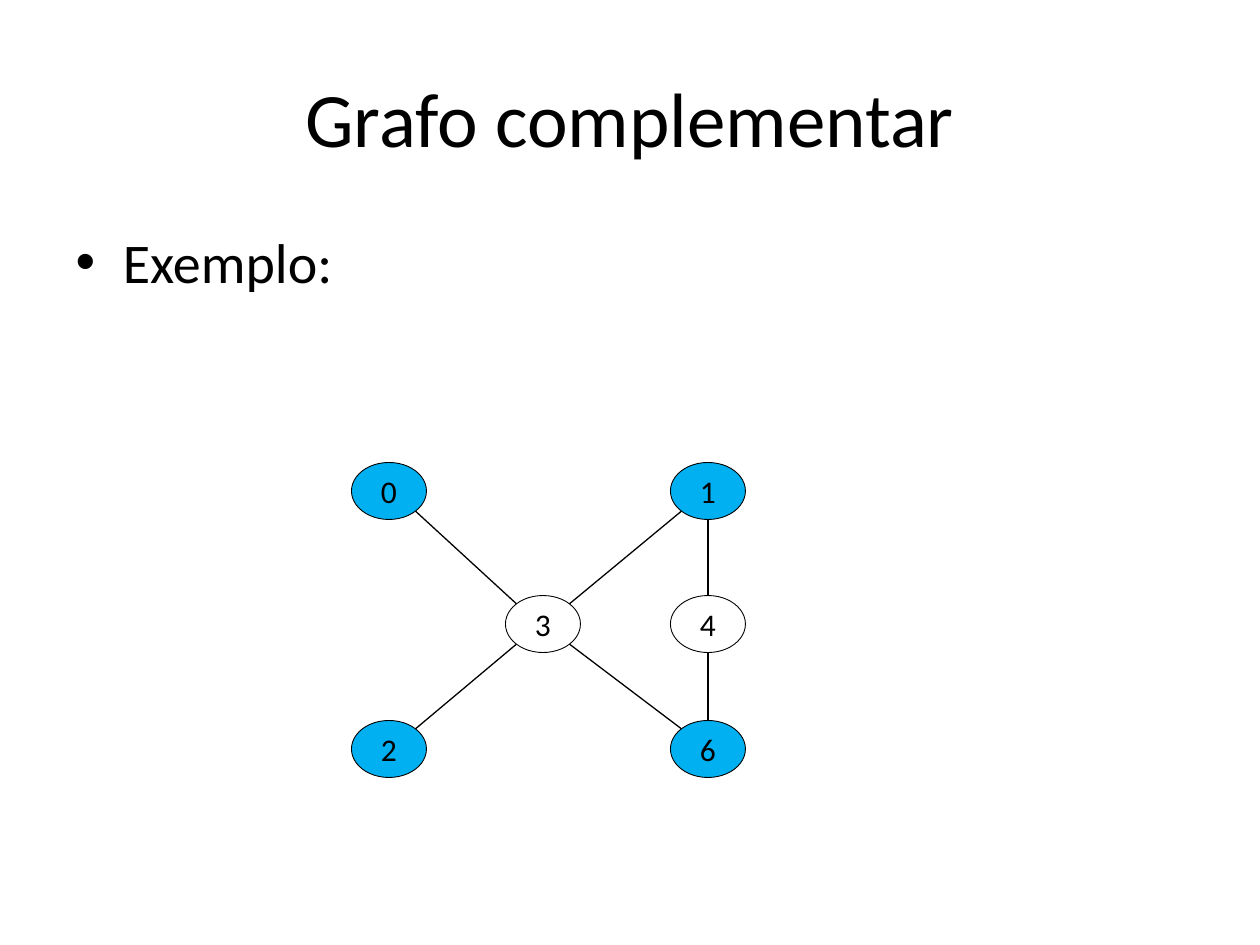
from dataclasses import dataclass
from math import sqrt

from lxml.etree import SubElement
from pptx import Presentation
from pptx.dml.color import RGBColor
from pptx.enum.shapes import MSO_CONNECTOR, MSO_SHAPE
from pptx.enum.text import MSO_ANCHOR, PP_ALIGN
from pptx.oxml.ns import qn
from pptx.slide import Slide
from pptx.util import Emu, Pt

PX_PER_INCH = 126
SLIDE_SIZE = (1260, 945)
NODE_SIZE = (75, 57)
FONT = "Calibri"
COLORS = {"ink": "000000", "highlight": "00B0F0", "plain": "FFFFFF"}


@dataclass(frozen=True)
class Node:
    label: str
    x: int  # centre
    y: int
    fill: str


LEFT, MIDDLE, RIGHT = 389, 543, 708
TOP, CENTER, BOTTOM = 491, 624, 749
NODES = {
    node.label: node
    for node in (
        Node("0", LEFT, TOP, "highlight"),
        Node("1", RIGHT, TOP, "highlight"),
        Node("2", LEFT, BOTTOM, "highlight"),
        Node("3", MIDDLE, CENTER, "plain"),
        Node("4", RIGHT, CENTER, "plain"),
        Node("6", RIGHT, BOTTOM, "highlight"),
    )
}
EDGES = [("3", "0"), ("1", "3"), ("6", "3"), ("3", "2"), ("1", "4"), ("4", "6")]


def px(length: float) -> Emu:
    return Emu(round(length * 914400 / PX_PER_INCH))


def color(name: str) -> RGBColor:
    return RGBColor.from_string(COLORS[name])


def add_run(paragraph, text: str, size: int) -> None:
    run = paragraph.add_run()
    run.text = text
    run.font.name = FONT
    run.font.size = Pt(size)
    run.font.color.rgb = color("ink")


def place(shape, left: int, top: int, width: int, height: int) -> None:
    shape.left, shape.top = px(left), px(top)
    shape.width, shape.height = px(width), px(height)


def rim_point(node: Node, other: Node) -> tuple[float, float]:
    """Return the node's eighth-turn rim point that faces the other node."""
    step_x = (other.x > node.x) - (other.x < node.x)
    step_y = (other.y > node.y) - (other.y < node.y)
    reach = sqrt(step_x ** 2 + step_y ** 2)
    width, height = NODE_SIZE
    return (node.x + step_x * width / 2 / reach,
            node.y + step_y * height / 2 / reach)


def draw_edge(slide: Slide, start: Node, end: Node) -> None:
    x1, y1 = rim_point(start, end)
    x2, y2 = rim_point(end, start)
    edge = slide.shapes.add_connector(
        MSO_CONNECTOR.STRAIGHT, px(x1), px(y1), px(x2), px(y2))
    edge.line.color.rgb = color("ink")
    edge.line.width = Pt(0.75)
    SubElement(edge._element.spPr, qn("a:effectLst"))


def draw_node(slide: Slide, node: Node) -> None:
    width, height = NODE_SIZE
    oval = slide.shapes.add_shape(
        MSO_SHAPE.OVAL, px(node.x - width / 2), px(node.y - height / 2),
        px(width), px(height))
    oval.shadow.inherit = False
    oval.fill.solid()
    oval.fill.fore_color.rgb = color(node.fill)
    oval.line.color.rgb = color("ink")
    oval.line.width = Pt(0.5)
    frame = oval.text_frame
    frame.vertical_anchor = MSO_ANCHOR.MIDDLE
    paragraph = frame.paragraphs[0]
    paragraph.alignment = PP_ALIGN.CENTER
    add_run(paragraph, node.label, 18)


def main() -> None:
    presentation = Presentation()
    presentation.slide_width, presentation.slide_height = map(px, SLIDE_SIZE)
    slide = presentation.slides.add_slide(presentation.slide_layouts[1])

    title, body = slide.placeholders
    place(title, 63, 38, 1134, 158)
    title.text_frame.vertical_anchor = MSO_ANCHOR.MIDDLE
    heading = title.text_frame.paragraphs[0]
    heading.alignment = PP_ALIGN.CENTER
    add_run(heading, "Grafo complementar", 44)

    place(body, 63, 221, 1134, 624)
    example = body.text_frame.paragraphs[0]
    example.space_before = Pt(0)
    add_run(example, "Exemplo:", 32)

    for node in NODES.values():
        draw_node(slide, node)
    for start, end in EDGES:
        draw_edge(slide, NODES[start], NODES[end])

    presentation.save("out.pptx")


if __name__ == "__main__":
    main()
